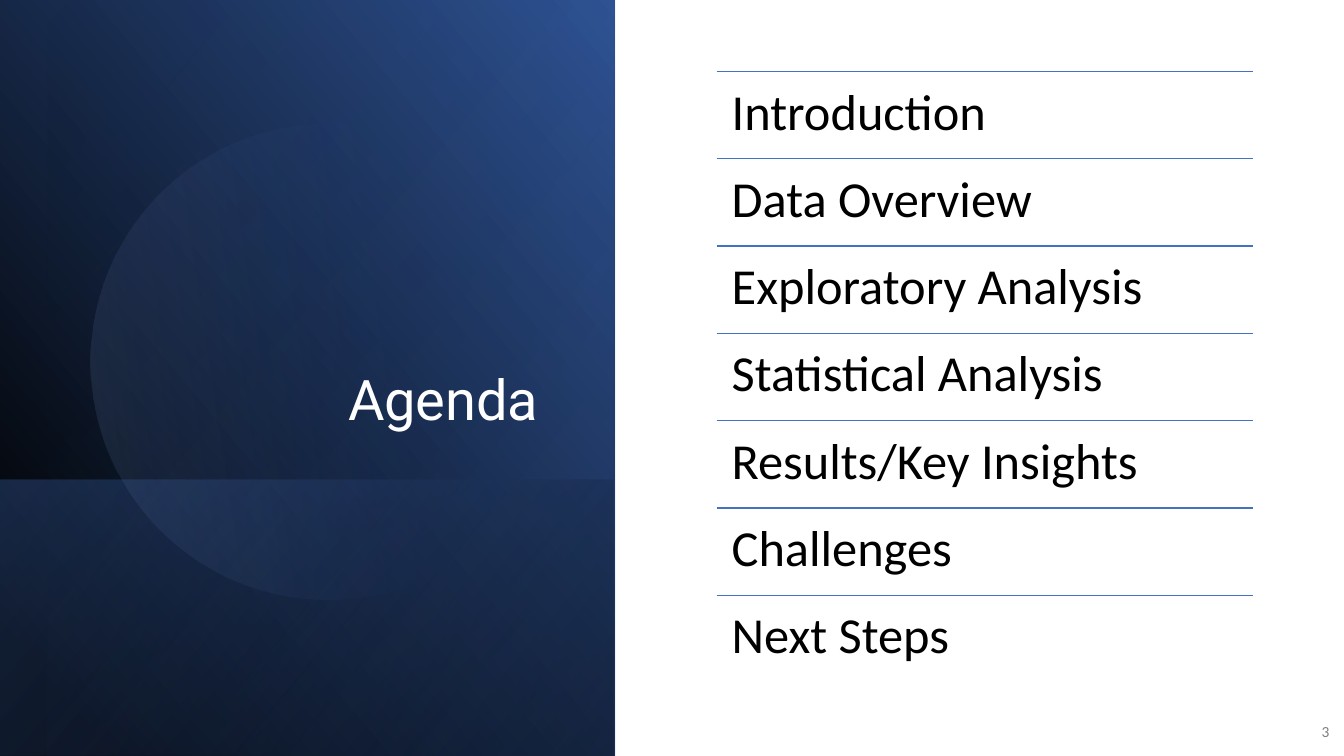
"""Build an agenda slide with a gradient panel and a ruled list of topics."""
from lxml import etree
from pptx import Presentation
from pptx.dml.color import RGBColor
from pptx.enum.shapes import MSO_CONNECTOR, MSO_SHAPE
from pptx.enum.text import MSO_ANCHOR, PP_ALIGN
from pptx.oxml.ns import qn
from pptx.util import Cm, Pt

RECTANGLE, OVAL = MSO_SHAPE.RECTANGLE, MSO_SHAPE.OVAL
STRAIGHT = MSO_CONNECTOR.STRAIGHT
TOP, MIDDLE, BOTTOM = MSO_ANCHOR.TOP, MSO_ANCHOR.MIDDLE, MSO_ANCHOR.BOTTOM
LEFT, RIGHT = PP_ALIGN.LEFT, PP_ALIGN.RIGHT

BLACK = RGBColor(0x00, 0x00, 0x00)
WHITE = RGBColor(0xFF, 0xFF, 0xFF)
GREY = RGBColor(0x7F, 0x7F, 0x7F)
NAVY = RGBColor(0x2F, 0x54, 0x96)
BLUE = RGBColor(0x44, 0x72, 0xC4)
PALE_BLUE = RGBColor(0x8D, 0xA9, 0xDB)
RULE_BLUE = RGBColor(0x43, 0x72, 0xC3)

TITLE = "Agenda"
TOPICS = [
    "Introduction",
    "Data Overview",
    "Exploratory Analysis",
    "Statistical Analysis",
    "Results/Key Insights",
    "Challenges",
    "Next Steps",
]
PAGE_NUMBER = "3"

# Each layer: preset, box in cm, rotation, mirrored, angle, (position, colour, opacity) stops
LAYERS = [
    (RECTANGLE, (-1.78, 1.78, 19.05, 15.49), 90, True, 310,
     [(0, BLACK, 100), (8, BLACK, 100), (100, NAVY, 100)]),
    (RECTANGLE, (4.24, 7.82, 6.96, 15.49), 90, True, 230,
     [(0, BLUE, 29), (2, BLUE, 29), (100, BLACK, 30)]),
    (RECTANGLE, (-1.17, 2.36, 19.05, 14.3), 90, True, 230,
     [(0, BLACK, 0), (99, BLUE, 11), (100, BLUE, 11)]),
    (OVAL, (2.29, 3.12, 11.99, 11.99), 101.6, False, 70,
     [(0, BLUE, 0), (39, BLUE, 0), (100, PALE_BLUE, 15)]),
]

LIST_LEFT, LIST_TOP, LIST_WIDTH, ROW_HEIGHT = 18.06, 1.8, 13.51, 2.2


def add_gradient(shape, angle, stops):
    """Fill a shape with a linear gradient of partly transparent stops."""
    shape.fill.background()
    properties = shape.element.spPr
    gradient = etree.Element(qn("a:gradFill"), rotWithShape="1")
    stop_list = etree.SubElement(gradient, qn("a:gsLst"))
    for position, color, opacity in stops:
        stop = etree.SubElement(stop_list, qn("a:gs"), pos=str(position * 1000))
        tint = etree.SubElement(stop, qn("a:srgbClr"), val=str(color))
        if opacity < 100:
            etree.SubElement(tint, qn("a:alpha"), val=str(opacity * 1000))
    etree.SubElement(gradient, qn("a:lin"), ang=str(angle * 60000), scaled="0")
    properties.replace(properties.find(qn("a:noFill")), gradient)


def add_layer(slide, preset, box, rotation, mirrored, angle, stops):
    """Add one gradient layer of the left panel."""
    shape = slide.shapes.add_shape(preset, *map(Cm, box))
    shape.shadow.inherit = False
    add_gradient(shape, angle, stops)
    shape.line.fill.background()
    shape.rotation = rotation
    if mirrored:
        shape.element.spPr.xfrm.set("flipH", "1")


def add_text(slide, text, box, *, size, color, font="Calibri", align=LEFT,
             anchor=TOP, insets=(0.25, 0.13, 0.25, 0.13), spacing=1.0):
    """Add a text box; insets are left, top, right, bottom in cm."""
    text_box = slide.shapes.add_textbox(*map(Cm, box))
    frame = text_box.text_frame
    frame.word_wrap = True
    frame.vertical_anchor = anchor
    (frame.margin_left, frame.margin_top,
     frame.margin_right, frame.margin_bottom) = map(Cm, insets)
    paragraph = frame.paragraphs[0]
    paragraph.alignment = align
    paragraph.line_spacing = spacing
    run = paragraph.add_run()
    run.text = text
    run.font.name = font
    run.font.size = Pt(size)
    run.font.color.rgb = color


def add_rule(slide, left, top, width):
    """Add a thin horizontal line."""
    rule = slide.shapes.add_connector(
        STRAIGHT, Cm(left), Cm(top), Cm(left + width), Cm(top))
    rule.line.color.rgb = RULE_BLUE
    rule.line.width = Pt(1)
    etree.SubElement(rule.element.spPr, qn("a:effectLst"))


def main():
    """Create and save the slide."""
    presentation = Presentation()
    presentation.slide_width, presentation.slide_height = Cm(33.87), Cm(19.05)
    slide = presentation.slides.add_slide(presentation.slide_layouts[6])

    for layer in LAYERS:
        add_layer(slide, *layer)
    add_text(slide, TITLE, (2.29, 1.63, 11.76, 9.4), size=40, color=WHITE,
             font="Roboto", align=RIGHT, anchor=BOTTOM,
             insets=(0.25, 0.13, 0.48, 0.13), spacing=0.9)

    for index, topic in enumerate(TOPICS):
        top = LIST_TOP + index * ROW_HEIGHT
        add_rule(slide, LIST_LEFT, top, LIST_WIDTH)
        add_text(slide, topic, (LIST_LEFT, top, LIST_WIDTH, ROW_HEIGHT),
                 size=36, color=BLACK, insets=(0.38,) * 4, spacing=0.9)

    add_text(slide, PAGE_NUMBER, (32.51, 17.93, 1.24, 1.02), size=11,
             color=GREY, align=RIGHT, anchor=MIDDLE)
    presentation.save("out.pptx")


if __name__ == "__main__":
    main()
